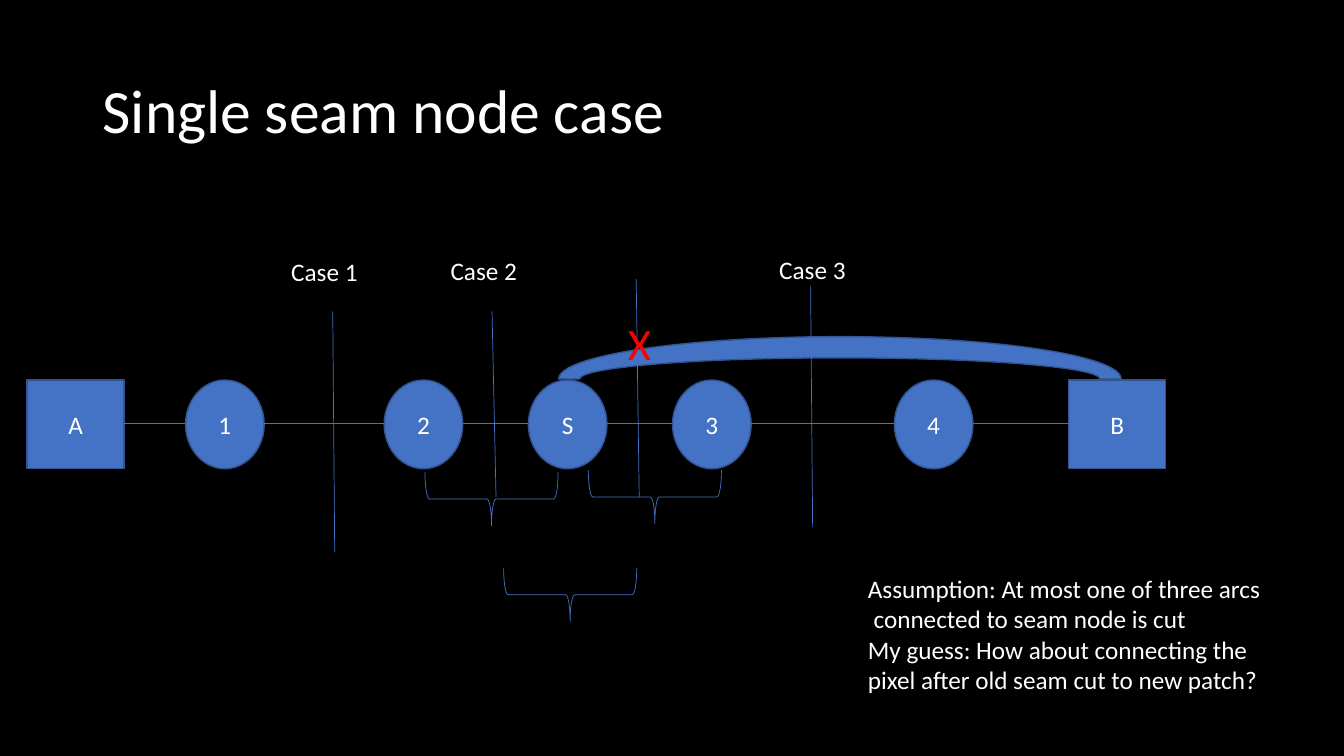
from pptx import Presentation
from pptx.dml.color import RGBColor
from pptx.enum.shapes import MSO_CONNECTOR, MSO_SHAPE
from pptx.enum.text import MSO_ANCHOR, PP_ALIGN
from pptx.oxml.ns import qn
from pptx.util import Inches, Pt
from lxml import etree

BLACK = RGBColor(0x00, 0x00, 0x00)
WHITE = RGBColor(0xFF, 0xFF, 0xFF)
RED = RGBColor(0xFF, 0x00, 0x00)
BLUE = RGBColor(0x44, 0x72, 0xC4)
DARK_BLUE = RGBColor(0x32, 0x54, 0x91)
FONT = "Calibri"
STRAIGHT = MSO_CONNECTOR.STRAIGHT
OVAL, RECTANGLE = MSO_SHAPE.OVAL, MSO_SHAPE.RECTANGLE
BLOCK_ARC, LEFT_BRACE = MSO_SHAPE.BLOCK_ARC, MSO_SHAPE.LEFT_BRACE
MIDDLE, TOP, CENTER = MSO_ANCHOR.MIDDLE, MSO_ANCHOR.TOP, PP_ALIGN.CENTER

# Chain nodes from left to right: label, shape, left, width
NODES = [
    ("A", RECTANGLE, 0.27, 0.96),
    ("1", OVAL, 1.84, 0.78),
    ("2", OVAL, 3.81, 0.78),
    ("S", OVAL, 5.24, 0.78),
    ("3", OVAL, 6.67, 0.78),
    ("4", OVAL, 8.87, 0.78),
    ("B", RECTANGLE, 10.6, 0.96),
]
# Cut lines: start x, start y, end x, end y
CUTS = [
    (3.3, 3.09, 3.32, 5.48),
    (4.88, 3.09, 4.92, 4.93),
    (6.31, 2.77, 6.34, 4.93),
    (8.04, 2.84, 8.06, 5.23),
]
CASES = [("Case 1", 2.79, 2.49), ("Case 2", 4.37, 2.48), ("Case 3", 7.63, 2.47)]
# Braces pointing down: left, top of the upright shape before its turn
BRACES = [(4.61, 4.29), (6.23, 4.27), (5.39, 5.24)]


def add_span(para, text, size, color=WHITE):
    span = para.add_run()
    span.text = text
    span.font.name = FONT
    span.font.size = Pt(size)
    span.font.color.rgb = color


def add_text(page, box, paragraphs, size, color=WHITE, anchor=TOP, spacing=None):
    """Each paragraph is a list of lines."""
    frame = page.shapes.add_textbox(*map(Inches, box)).text_frame
    frame.word_wrap = True
    frame.vertical_anchor = anchor
    for index, lines in enumerate(paragraphs):
        para = frame.add_paragraph() if index else frame.paragraphs[0]
        para.line_spacing = spacing
        for number, line in enumerate(lines):
            if number:
                para.add_line_break()
            add_span(para, line, size, color)


def add_solid(page, kind, box):
    shape = page.shapes.add_shape(kind, *map(Inches, box))
    shape.shadow.inherit = False
    shape.fill.solid()
    shape.fill.fore_color.rgb = BLUE
    shape.line.color.rgb = DARK_BLUE
    shape.line.width = Pt(1)
    return shape


def add_line(page, *ends):
    line = page.shapes.add_connector(STRAIGHT, *map(Inches, ends))
    line.line.color.rgb = BLUE
    line.line.width = Pt(0.5)
    etree.SubElement(line._element.spPr, qn("a:effectLst"))


def add_brace(page, left, top):
    brace = page.shapes.add_shape(LEFT_BRACE, *map(Inches, (left, top, 0.53, 1.32)))
    brace.rotation = 270
    brace.shadow.inherit = False
    brace.fill.background()
    brace.line.color.rgb = BLUE
    brace.line.width = Pt(0.5)


def add_chain(page, top, height):
    # Nodes
    for label, kind, left, width in NODES:
        frame = add_solid(page, kind, (left, top, width, height)).text_frame
        frame.vertical_anchor = MIDDLE
        para = frame.paragraphs[0]
        para.alignment = CENTER
        add_span(para, label, 18)
    # Arc from S to B
    add_solid(page, BLOCK_ARC, (5.54, top - 0.43, 5.58, 0.84))
    # Links between neighbours
    middle = top + 0.43
    for (_, _, left, width), (_, _, next_left, _) in zip(NODES, NODES[1:]):
        add_line(page, left + width, middle, next_left, middle)


def add_cuts(page):
    for brace in BRACES:
        add_brace(page, *brace)
    for cut in CUTS:
        add_line(page, *cut)
    for label, left, top in CASES:
        add_text(page, (left, top, 1.02, 0.4), [[label]], 18)
    add_text(page, (6.13, 3.08, 0.69, 0.64), [["X"]], 32, RED)


def main():
    deck = Presentation()
    deck.slide_width, deck.slide_height = Inches(13.33), Inches(7.5)
    page = deck.slides.add_slide(deck.slide_layouts[6])
    page.background.fill.solid()
    page.background.fill.fore_color.rgb = BLACK

    add_text(page, (0.92, 0.4, 11.5, 1.45), [["Single seam node case"]], 44,
             anchor=MIDDLE, spacing=0.9)
    add_chain(page, 3.77, 0.88)
    add_cuts(page)
    # Notes on the cut
    add_text(page, (8.51, 5.64, 4.14, 1.31), [
        ["Assumption: At most one of three arcs", " connected to seam node is cut"],
        ["My guess: How about connecting the pixel after old seam cut to new patch?"],
    ], 18)
    deck.save("out.pptx")


if __name__ == "__main__":
    main()
